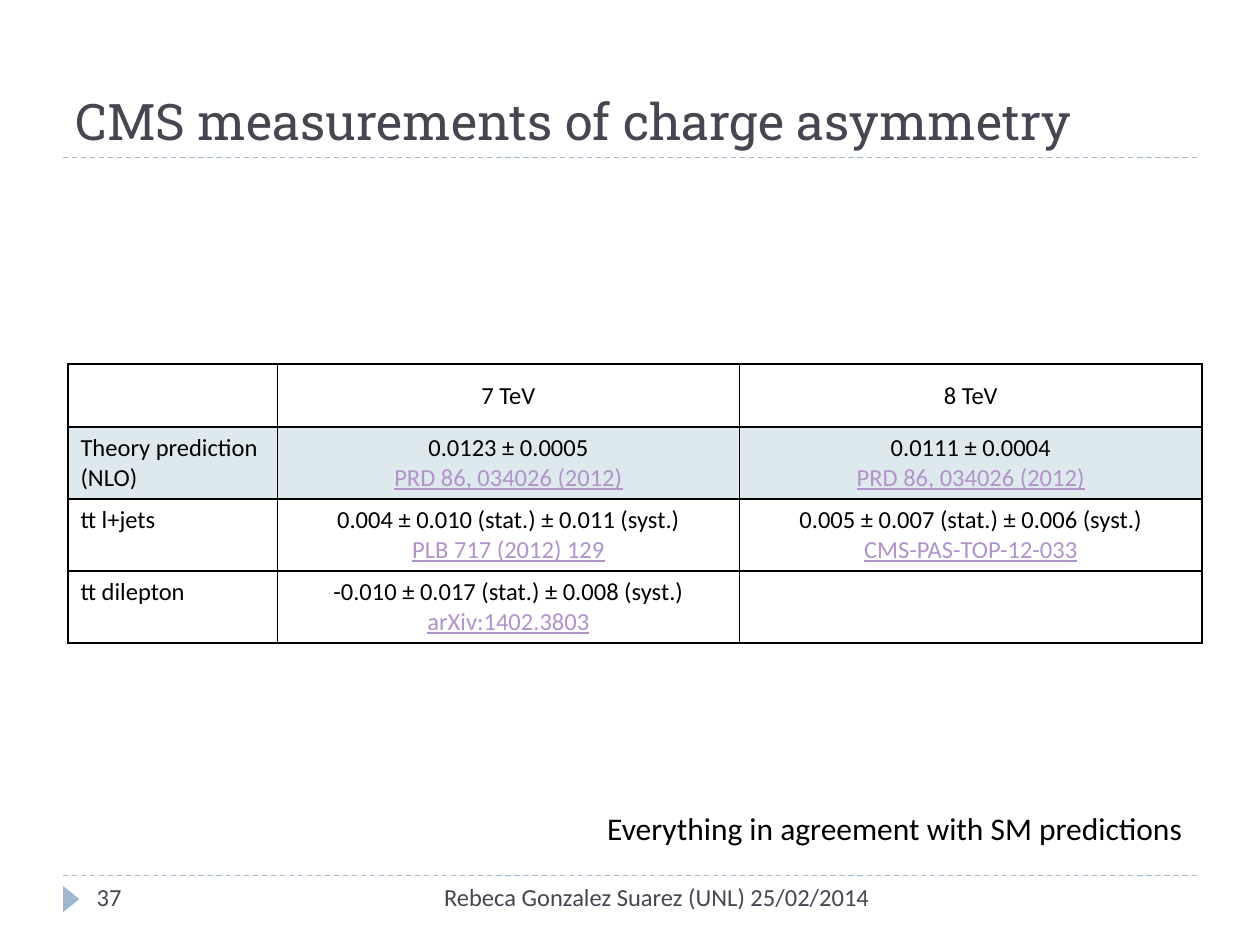
from lxml import etree
from pptx import Presentation
from pptx.dml.color import RGBColor
from pptx.enum.dml import MSO_LINE
from pptx.enum.shapes import MSO_CONNECTOR, MSO_SHAPE
from pptx.enum.text import MSO_ANCHOR, MSO_AUTO_SIZE, PP_ALIGN
from pptx.oxml.ns import qn
from pptx.util import Cm, Pt

STRAIGHT = MSO_CONNECTOR.STRAIGHT
TRIANGLE = MSO_SHAPE.ISOSCELES_TRIANGLE
DASH = MSO_LINE.DASH
TOP, MIDDLE, BOTTOM = MSO_ANCHOR.TOP, MSO_ANCHOR.MIDDLE, MSO_ANCHOR.BOTTOM
LEFT, CENTER, RIGHT = PP_ALIGN.LEFT, PP_ALIGN.CENTER, PP_ALIGN.RIGHT
FIT_SHAPE = MSO_AUTO_SIZE.SHAPE_TO_FIT_TEXT

BLACK, SLATE, BLUE = "000000", "464653", "9FB8CD"
BAND, LINK = "DDE9EC", "B292CA"


def color(hex_string):
    return RGBColor.from_string(hex_string)


def format_paragraph(paragraph, size, hex_string, align=LEFT, name="Calibri"):
    paragraph.alignment = align
    for run in paragraph.runs:
        run.font.name = name
        run.font.size = Pt(size)
        run.font.bold = False
        run.font.color.rgb = color(hex_string)


presentation = Presentation()
presentation.slide_width, presentation.slide_height = Cm(25.4), Cm(19.05)
slide = presentation.slides.add_slide(presentation.slide_layouts[6])

# Dashed rules above the footer and below the title
for y in (17.65, 3.18):
    rule = slide.shapes.add_connector(STRAIGHT, Cm(1.27), Cm(y), Cm(24.13), Cm(y))
    rule.line.color.rgb = color(BLUE)
    rule.line.width = Pt(0.75)
    rule.line.dash_style = DASH
    etree.SubElement(rule._element.spPr, qn("a:effectLst"))

# Footer marker
marker = slide.shapes.add_shape(TRIANGLE, Cm(1.17), Cm(17.96), Cm(0.53), Cm(0.33))
marker.rotation = 90
marker.shadow.inherit = False
marker.fill.solid()
marker.fill.fore_color.rgb = color(BLUE)
marker.line.fill.background()

# Title, slide number, footer and conclusion
texts = [
    ("CMS measurements of charge asymmetry", 1.27, 0.43, 22.86, 2.74,
     28.8, SLATE, LEFT, "Roboto Slab", BOTTOM, True),
    ("37", 1.7, 17.65, 5.51, 1.02, 14, SLATE, LEFT, "Calibri", TOP, True),
    ("Rebeca Gonzalez Suarez (UNL) 25/02/2014", 8.05, 17.65, 9.73, 1.02,
     14, SLATE, RIGHT, "Calibri", TOP, True),
    ("Everything in agreement with SM predictions", 11.99, 16.18, 12.14, 1.02,
     18, BLACK, LEFT, "Calibri", TOP, False),
]
for text, left, top, width, height, size, ink, align, font, anchor, wrap in texts:
    box = slide.shapes.add_textbox(Cm(left), Cm(top), Cm(width), Cm(height))
    text_frame = box.text_frame
    text_frame.text = text
    text_frame.word_wrap = wrap
    text_frame.vertical_anchor = anchor
    if not wrap:
        text_frame.auto_size = FIT_SHAPE
    format_paragraph(text_frame.paragraphs[0], size, ink, align, font)

# Measurement table: the second line of a cell is its reference
rows = [
    ["", "7 TeV", "8 TeV"],
    ["Theory prediction (NLO)",
     "0.0123 ± 0.0005\nPRD 86, 034026 (2012)",
     "0.0111 ± 0.0004\nPRD 86, 034026 (2012)"],
    ["tt l+jets",
     "0.004 ± 0.010 (stat.) ± 0.011 (syst.)\nPLB 717 (2012) 129",
     "0.005 ± 0.007 (stat.) ± 0.006 (syst.)\nCMS-PAS-TOP-12-033"],
    ["tt dilepton",
     "-0.010 ± 0.017 (stat.) ± 0.008 (syst.)\narXiv:1402.3803",
     ""],
]
column_widths = [4.22, 9.32, 9.32]
row_heights = [1.27, 1.45, 1.45, 1.45]
table = slide.shapes.add_table(
    len(rows), len(column_widths), Cm(1.37), Cm(7.34),
    Cm(sum(column_widths)), Cm(sum(row_heights))).table
table.first_row = False
table.horz_banding = False
for column, width in zip(table.columns, column_widths):
    column.width = Cm(width)
for row, height in zip(table.rows, row_heights):
    row.height = Cm(height)

for row_index, row in enumerate(rows):
    for column_index, text in enumerate(row):
        cell = table.cell(row_index, column_index)
        cell.text_frame.text = text
        cell.vertical_anchor = MIDDLE if row_index == 0 else TOP
        for line_index, paragraph in enumerate(cell.text_frame.paragraphs):
            format_paragraph(paragraph, 14, LINK if line_index else BLACK,
                             CENTER if column_index else LEFT)
            paragraph.font.size = Pt(14)
            for run in paragraph.runs:
                run.font.underline = line_index > 0

        # Borders come before the fill in the cell properties
        properties = cell._tc.get_or_add_tcPr()
        for side in ("a:lnL", "a:lnR", "a:lnT", "a:lnB"):
            border = etree.SubElement(properties, qn(side), w=str(Pt(1)))
            fill = etree.SubElement(border, qn("a:solidFill"))
            etree.SubElement(fill, qn("a:srgbClr"), val=BLACK)
        if row_index == 1:
            cell.fill.solid()
            cell.fill.fore_color.rgb = color(BAND)
        else:
            cell.fill.background()

presentation.save("out.pptx")
